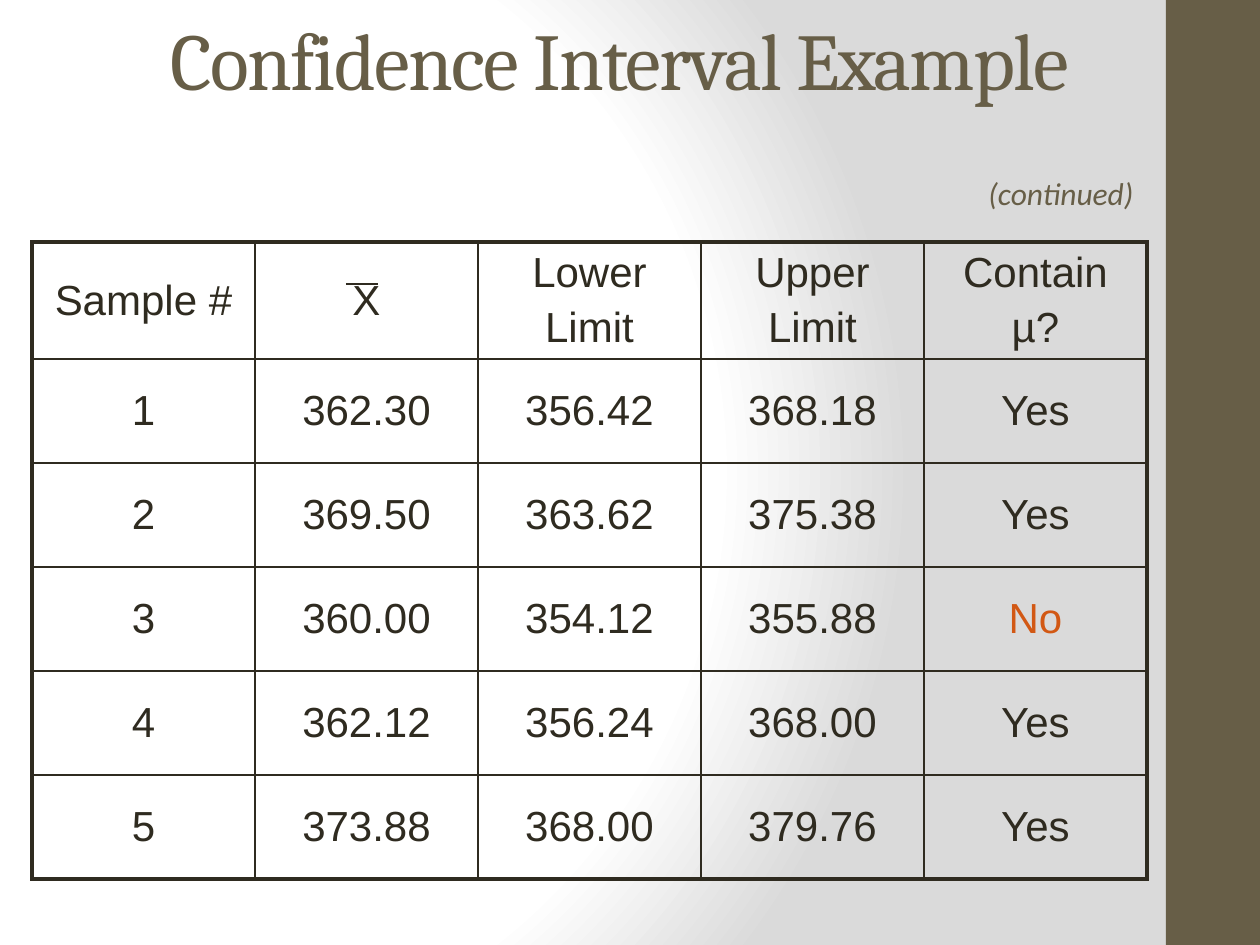
from pptx import Presentation
from pptx.dml.color import RGBColor
from pptx.enum.shapes import MSO_CONNECTOR, MSO_SHAPE
from pptx.enum.text import MSO_ANCHOR, PP_ALIGN
from pptx.oxml import parse_xml
from pptx.oxml.ns import nsdecls
from pptx.util import Emu, Pt

CENTER = PP_ALIGN.CENTER
LEFT = PP_ALIGN.LEFT
TOP = MSO_ANCHOR.TOP
MIDDLE = MSO_ANCHOR.MIDDLE

COLORS = {
    "band": "675E47",
    "ink": "2F2B20",
    "alert": "D25814",
    "white": "FFFFFF",
    "gray": "DADADA",
}
TITLE = "Confidence Interval Example"
CONTINUED = "(continued)"
ROWS = [
    ("Sample #", "X", "Lower\nLimit", "Upper\nLimit", "Contain\nµ?"),
    ("1", "362.30", "356.42", "368.18", "Yes"),
    ("2", "369.50", "363.62", "375.38", "Yes"),
    ("3", "360.00", "354.12", "355.88", "No"),
    ("4", "362.12", "356.24", "368.00", "Yes"),
    ("5", "373.88", "368.00", "379.76", "Yes"),
]
GRADIENT = [(0, "white"), (75, "white"), (100, "gray")]

WIDTH, HEIGHT = 1260, 945
BAND_LEFT = 1166
TABLE_LEFT, TABLE_TOP = 32, 242
COLUMN_WIDTH = 223
HEADER_HEIGHT, ROW_HEIGHT = 114, 104
INNER_BORDER, OUTER_BORDER = Pt(1), Pt(2.25)


def px(value):
    return Emu(round(value * 914400 / 126))


def color(name):
    return RGBColor.from_string(COLORS[name])


def set_background(slide):
    stops = "".join(
        f'<a:gs pos="{position * 1000}"><a:srgbClr val="{COLORS[name]}"/></a:gs>'
        for position, name in GRADIENT
    )
    slide.element.cSld.insert(0, parse_xml(
        f'<p:bg {nsdecls("p", "a")}><p:bgPr><a:gradFill rotWithShape="1">'
        f'<a:gsLst>{stops}</a:gsLst><a:path path="circle">'
        '<a:fillToRect l="20000" t="50000" r="100000" b="50000"/></a:path>'
        '</a:gradFill><a:effectLst/></p:bgPr></p:bg>'
    ))


def style_paragraph(paragraph, font_name, size, color_name, alignment):
    paragraph.alignment = alignment
    paragraph.font.name = font_name
    paragraph.font.size = Pt(size)
    paragraph.font.color.rgb = color(color_name)


def add_text(slide, text, box, font_name, size, anchor, wrap):
    frame = slide.shapes.add_textbox(*map(px, box)).text_frame
    frame.word_wrap = wrap
    frame.vertical_anchor = anchor
    paragraph = frame.paragraphs[0]
    paragraph.text = text
    style_paragraph(paragraph, font_name, size, "band", LEFT)
    return paragraph


def set_borders(cell, outer_sides):
    properties = cell._tc.get_or_add_tcPr()
    for side in "LRTB":
        width = OUTER_BORDER if side in outer_sides else INNER_BORDER
        properties.append(parse_xml(
            f'<a:ln{side} {nsdecls("a")} w="{width}"><a:solidFill>'
            f'<a:srgbClr val="{COLORS["ink"]}"/></a:solidFill></a:ln{side}>'
        ))


def add_table(slide):
    row_count, column_count = len(ROWS), len(ROWS[0])
    heights = [HEADER_HEIGHT] + [ROW_HEIGHT] * (row_count - 1)
    table = slide.shapes.add_table(
        row_count, column_count, px(TABLE_LEFT), px(TABLE_TOP),
        px(COLUMN_WIDTH * column_count), px(sum(heights)),
    ).table
    table.first_row = False
    table.horz_banding = False
    for column in table.columns:
        column.width = px(COLUMN_WIDTH)
    for row_index, values in enumerate(ROWS):
        table.rows[row_index].height = px(heights[row_index])
        for column_index, value in enumerate(values):
            cell = table.cell(row_index, column_index)
            cell.text = value
            cell.vertical_anchor = MIDDLE
            cell.margin_top = cell.margin_bottom = px(4)
            edges = {
                "L": column_index == 0,
                "R": column_index == column_count - 1,
                "T": row_index == 0,
                "B": row_index == row_count - 1,
            }
            set_borders(cell, [side for side, is_outer in edges.items() if is_outer])
            cell.fill.background()
            color_name = "alert" if value == "No" else "ink"
            for paragraph in cell.text_frame.paragraphs:
                style_paragraph(paragraph, "Arial", 24, color_name, CENTER)
                paragraph.space_before = Pt(4.8)


def add_mean_bar(slide):
    bar = slide.shapes.add_connector(
        MSO_CONNECTOR.STRAIGHT, px(346), px(284), px(378), px(284)
    )
    bar.line.color.rgb = color("ink")
    bar.line.width = Pt(0.75)
    bar._element.spPr.append(parse_xml(f'<a:effectLst {nsdecls("a")}/>'))


def main():
    presentation = Presentation()
    presentation.slide_width, presentation.slide_height = px(WIDTH), px(HEIGHT)
    slide = presentation.slides.add_slide(presentation.slide_layouts[6])
    set_background(slide)

    band = slide.shapes.add_shape(
        MSO_SHAPE.RECTANGLE, px(BAND_LEFT), 0, px(WIDTH - BAND_LEFT), px(HEIGHT)
    )
    band.shadow.inherit = False
    band.fill.solid()
    band.fill.fore_color.rgb = color("band")
    band.line.fill.background()

    title = add_text(slide, TITLE, (158, -10, 1017, 136), "Cambria", 46, MIDDLE, True)
    title.runs[0].font._element.set("spc", "-100")
    add_table(slide)
    continued = add_text(
        slide, CONTINUED, (976, 168, 236, 63), "Calibri", 18, TOP, False
    )
    continued.font.italic = True
    add_mean_bar(slide)
    presentation.save("out.pptx")


if __name__ == "__main__":
    main()
